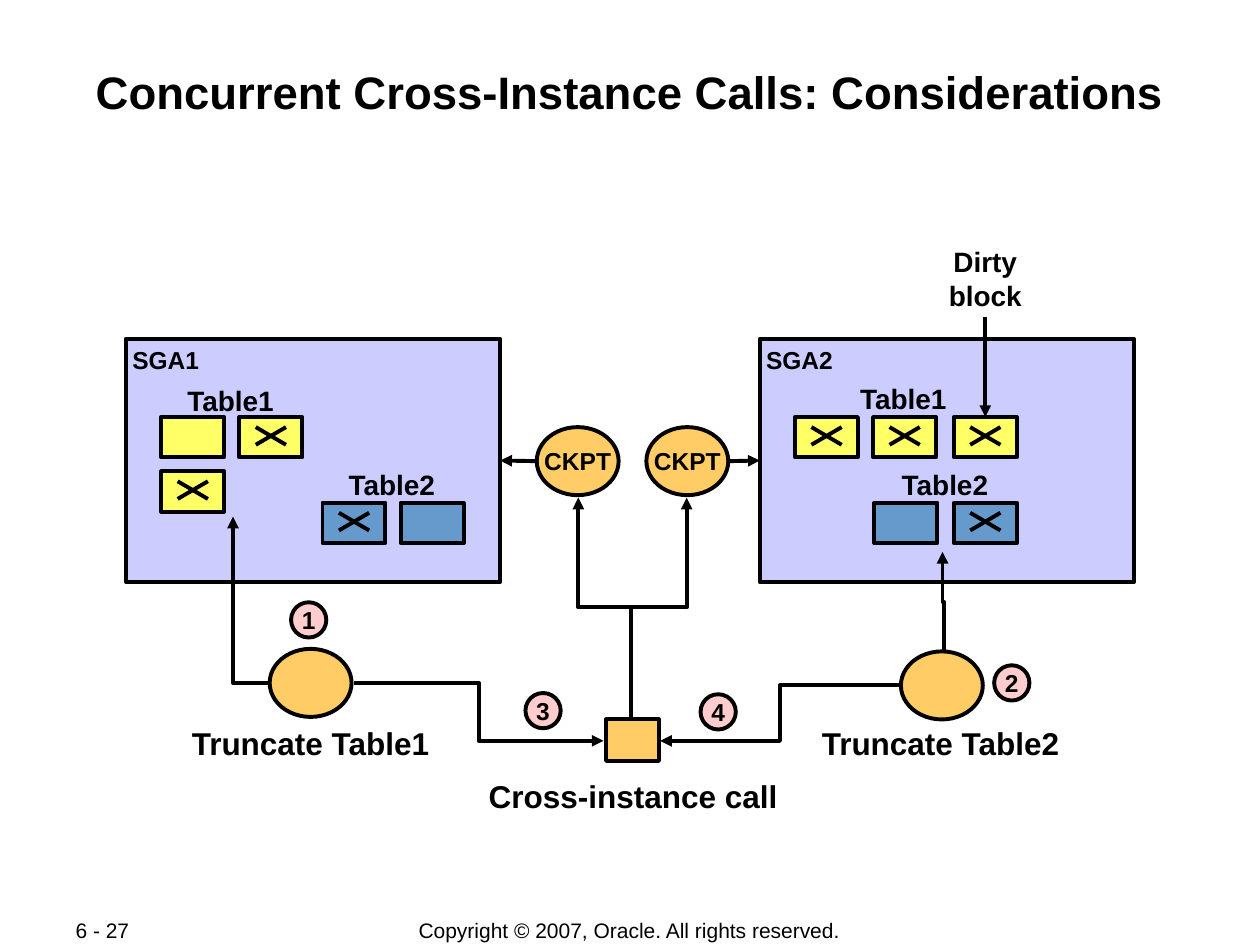
from lxml import etree
from pptx import Presentation
from pptx.dml.color import RGBColor
from pptx.enum import shapes, text
from pptx.oxml import ns
from pptx.util import Inches, Pt

BLACK = RGBColor(0x00, 0x00, 0x00)
LAVENDER = RGBColor(0xCC, 0xCC, 0xFF)
YELLOW = RGBColor(0xFF, 0xFF, 0x66)
BLUE = RGBColor(0x66, 0x99, 0xCC)
ORANGE = RGBColor(0xFF, 0xCC, 0x66)
PINK = RGBColor(0xFF, 0xCD, 0xCD)
RECTANGLE, OVAL = shapes.MSO_SHAPE.RECTANGLE, shapes.MSO_SHAPE.OVAL
STRAIGHT, ELBOW = shapes.MSO_CONNECTOR.STRAIGHT, shapes.MSO_CONNECTOR.ELBOW
LEFT, CENTER = text.PP_ALIGN.LEFT, text.PP_ALIGN.CENTER
TOP, MIDDLE = text.MSO_ANCHOR.TOP, text.MSO_ANCHOR.MIDDLE

presentation = Presentation()
presentation.slide_width, presentation.slide_height = Inches(10), Inches(7.5)
slide = presentation.slides.add_slide(presentation.slide_layouts[5])


def add_item(kind, left, top, width, height, fill=None, words="", size=14,
             bold=True, align=CENTER, anchor=MIDDLE, margin=0.0):
    """Add a filled preset shape, or a text box when kind is None."""
    box = [Inches(value) for value in (left, top, width, height)]
    if kind is None:
        shape = slide.shapes.add_textbox(*box)
    else:
        shape = slide.shapes.add_shape(kind, *box)
        shape.shadow.inherit = False
        shape.fill.solid()
        shape.fill.fore_color.rgb = fill
        shape.line.color.rgb = BLACK
        shape.line.width = Pt(2.25)
    if words:
        frame = shape.text_frame
        frame.word_wrap = kind is not OVAL
        frame.vertical_anchor = anchor
        frame.margin_left = frame.margin_right = Inches(margin)
        frame.margin_top = frame.margin_bottom = Inches(margin)
        paragraph = frame.paragraphs[0]
        paragraph.alignment = align
        for index, line in enumerate(words.split("\n")):
            if index:
                paragraph.add_line_break()
            run = paragraph.add_run()
            run.text = line
            run.font.name, run.font.size, run.font.bold = "Arial", Pt(size), bold
            run.font.color.rgb = BLACK
    return shape


def add_line(kind, x1, y1, x2, y2, arrow=True, upward=False):
    """Add a connector; an upward elbow leaves and arrives vertically."""
    if upward:
        # The elbow is laid out lying down, then turned about its centre.
        center_x, center_y = (x1 + x2) / 2, (y1 + y2) / 2
        half_length, half_shift = (y1 - y2) / 2, (x2 - x1) / 2
        x1, x2 = center_x - half_length, center_x + half_length
        y1, y2 = center_y - half_shift, center_y + half_shift
    connector = slide.shapes.add_connector(
        kind, Inches(x1), Inches(y1), Inches(x2), Inches(y2))
    connector.line.color.rgb = BLACK
    connector.line.width = Pt(2.25)
    properties = connector._element.spPr
    if upward:
        properties.find(ns.qn("a:xfrm")).set("rot", str(270 * 60000))
    if arrow:
        etree.SubElement(properties.find(ns.qn("a:ln")), ns.qn("a:tailEnd"), type="triangle")
    etree.SubElement(properties, ns.qn("a:effectLst"))
    return connector


# Title
title = slide.shapes.title
title.left, title.top = Inches(0.67), Inches(0.5)
title.width, title.height = Inches(8.66), Inches(0.96)
title_frame = title.text_frame
title_frame.vertical_anchor = TOP
title_frame.word_wrap = True
title_frame.margin_left = title_frame.margin_right = Inches(0.01)
title_frame.margin_top = title_frame.margin_bottom = Inches(0.01)
title_paragraph = title_frame.paragraphs[0]
title_paragraph.alignment = CENTER
title_run = title_paragraph.add_run()
title_run.text = "Concurrent Cross-Instance Calls: Considerations"
title_run.font.name, title_run.font.size, title_run.font.bold = "Arial", Pt(26), True
title_run.font.color.rgb = BLACK

# Memory areas
sga1, sga2 = [
    add_item(RECTANGLE, left, 2.69, 2.97, 1.93, LAVENDER, name,
             align=LEFT, anchor=TOP, margin=0.05)
    for name, left in (("SGA1", 1), ("SGA2", 6.03))]

# Blocks, with a cross on each dirty one
BLOCK_WIDTH, BLOCK_HEIGHT = 0.5, 0.32
for left, top, color, dirty in (
        (1.28, 3.31, YELLOW, False), (1.9, 3.31, YELLOW, True),
        (1.28, 3.74, YELLOW, True),
        (2.56, 3.99, BLUE, True), (3.18, 3.99, BLUE, False),
        (6.31, 3.31, YELLOW, True), (6.93, 3.31, YELLOW, True),
        (6.94, 3.99, BLUE, False), (7.57, 3.99, BLUE, True),
        (7.57, 3.31, YELLOW, True)):
    block = add_item(RECTANGLE, left, top, BLOCK_WIDTH, BLOCK_HEIGHT, color)
    if dirty:
        x, y = left + BLOCK_WIDTH / 2, top + BLOCK_HEIGHT / 2 - 0.01
        for rise in (-0.07, 0.07):
            add_line(STRAIGHT, x - 0.12, y + rise, x + 0.12, y - rise, arrow=False)
pointed_block = block

# Processes and the call
ckpt1, ckpt2 = [add_item(OVAL, left, 3.39, 0.65, 0.54, ORANGE, "CKPT")
                for left in (4.26, 5.13)]
for left, top in ((2.14, 5.15), (7.15, 5.17)):
    add_item(OVAL, left, top, 0.65, 0.54, ORANGE)
add_item(RECTANGLE, 4.81, 5.71, 0.42, 0.33, ORANGE)

# Labels
for words, left, top, width, height, size in (
        ("Table1", 1.38, 2.99, 0.9, 0.37, 16),
        ("Table2", 2.66, 3.66, 0.9, 0.37, 16),
        ("Table1", 6.72, 2.98, 0.9, 0.37, 16),
        ("Table2", 7.05, 3.66, 0.9, 0.37, 16),
        ("Dirty\nblock", 7.43, 1.89, 0.78, 0.64, 16),
        ("Truncate Table1", 1.41, 5.7, 2.11, 0.4, 18),
        ("Truncate Table2", 6.41, 5.7, 2.11, 0.4, 18),
        ("Cross-instance call", 3.78, 6.12, 2.49, 0.4, 18)):
    add_item(None, left, top, width, height, words=words, size=size)

# Straight arrows
add_line(STRAIGHT, 7.82, 2.52, 7.82, 3.31).end_connect(pointed_block, 0)
add_line(STRAIGHT, 4.25, 3.66, 3.97, 3.66).end_connect(sga1, 3)
add_line(STRAIGHT, 5.79, 3.66, 6.03, 3.66).end_connect(sga2, 1)

# Elbow arrows
single_bend = add_line(ELBOW, 2.15, 5.42, 1.85, 4.1)
single_bend._element.spPr.find(ns.qn("a:prstGeom")).set("prst", "bentConnector2")
add_line(ELBOW, 2.81, 5.42, 4.79, 5.88)
add_line(ELBOW, 7.14, 5.44, 5.24, 5.88)
add_line(ELBOW, 7.49, 5.17, 7.48, 4.38, upward=True)
for x in (4.59, 5.45):
    add_line(ELBOW, 5.01, 5.69, x, 3.95, upward=True)

# Step numbers
for number, (left, top) in enumerate(
        ((2.31, 4.78), (7.89, 5.28), (4.17, 5.5), (5.56, 5.51)), start=1):
    add_item(OVAL, left, top, 0.28, 0.28, PINK, str(number))

# Footer
add_item(None, 0.6, 7.28, 0.96, 0.2, words="6 - 27", size=12, bold=False, align=LEFT)
add_item(None, 2.75, 7.28, 4.49, 0.21, size=12, bold=False,
         words="Copyright © 2007, Oracle. All rights reserved.")

presentation.save("out.pptx")
